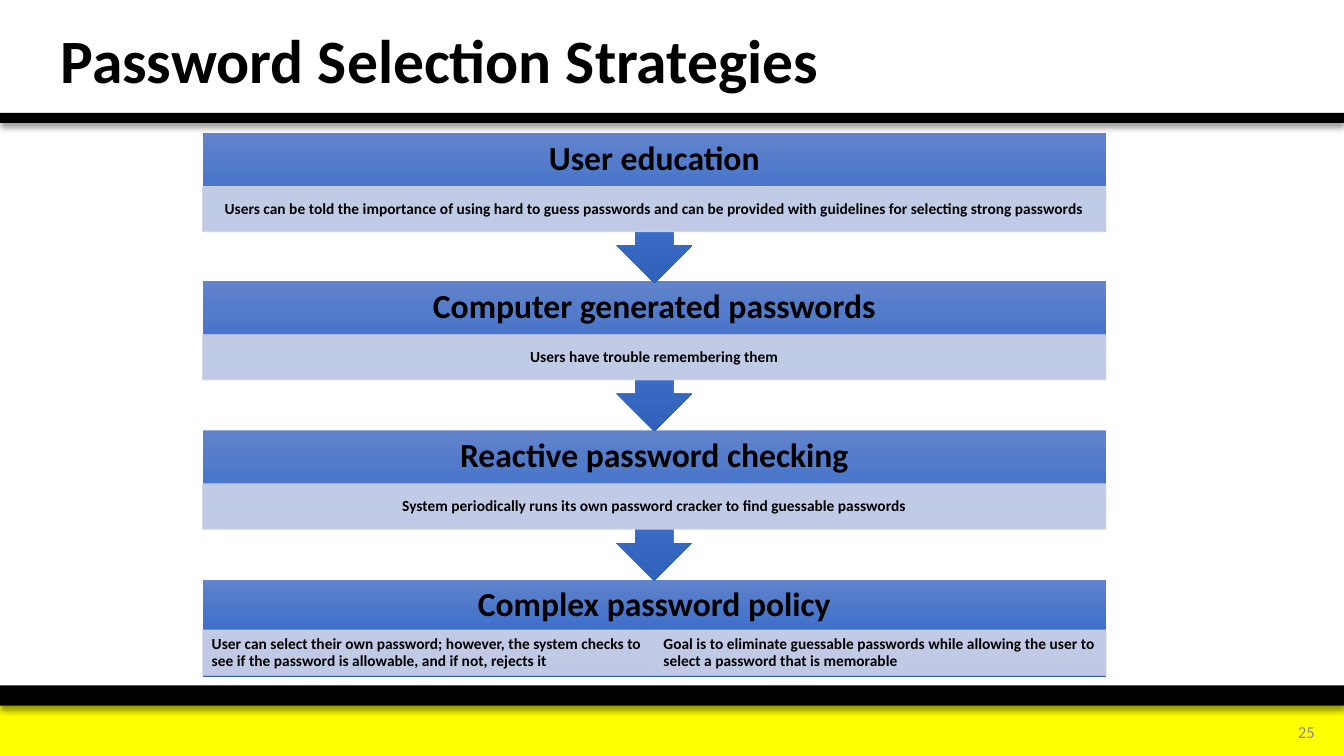
import pptx
import pptx.util
import pptx.dml.color
import pptx.enum.shapes
import pptx.enum.text
import pptx.oxml
import pptx.oxml.ns
import lxml.etree

PX = 9144  # 100 px to the inch
FONT = "Calibri"
HUES = {"black": "000000", "yellow": "FFFF00", "grey": "8C8C8C",
        "top": "6183CB", "mid": "3E70CA", "low": "3062BB", "pale": "CFD5EA"}
KIND = pptx.enum.shapes.MSO_SHAPE
ALIGN = pptx.enum.text.PP_ALIGN
LEFT, WIDE, TOP = 201, 896, 132

STEPS = [
    ("User education",
     ["Users can be told the importance of using hard to guess passwords and can be "
      "provided with guidelines for selecting strong passwords"]),
    ("Computer generated passwords", ["Users have trouble remembering them"]),
    ("Reactive password checking",
     ["System periodically runs its own password cracker to find guessable passwords"]),
    ("Complex password policy",
     ["User can select their own password; however, the system checks to see if the "
      "password is allowable, and if not, rejects it",
      "Goal is to eliminate guessable passwords while allowing the user to select a "
      "password that is memorable"]),
]


def emu(*nums):
    return [pptx.util.Emu(n * PX) for n in nums]


def hue(name):
    return pptx.dml.color.RGBColor.from_string(HUES[name])


def add_xml(parent, tag, **attrs):
    return lxml.etree.SubElement(parent, pptx.oxml.ns.qn("a:" + tag), attrs)


def fade(color):
    """Make a solid fill or line colour 90% opaque."""
    for node in color.iter(pptx.oxml.ns.qn("a:srgbClr")):
        add_xml(node, "alpha", val="90000")


def write(shape, text, size, color="black", bold=True, align=ALIGN.LEFT,
          inset=(9, 2), space=0.9):
    frame = shape.text_frame
    frame.word_wrap = True
    frame.auto_size = pptx.enum.text.MSO_AUTO_SIZE.NONE
    frame.vertical_anchor = pptx.enum.text.MSO_ANCHOR.MIDDLE
    frame.margin_left, frame.margin_top = emu(*inset)
    frame.margin_right, frame.margin_bottom = emu(*inset)
    para = frame.paragraphs[0]
    para.alignment = align
    para.line_spacing = space
    run = para.add_run()
    run.text = text
    run.font.name = FONT
    run.font.size = pptx.util.Pt(size)
    run.font.bold = bold
    run.font.color.rgb = hue(color)


def add_box(slide, kind, *place):
    shape = slide.shapes.add_shape(kind, *emu(*place))
    shape.shadow.inherit = False
    shape.line.fill.background()
    return shape


def add_bar(slide, top, high, color, shade=True):
    bar = add_box(slide, KIND.RECTANGLE, 0, top, 1333, high)
    bar.fill.solid()
    bar.fill.fore_color.rgb = hue(color)
    if shade:
        effects = bar.element.spPr.find(pptx.oxml.ns.qn("a:effectLst"))
        outer = add_xml(effects, "outerShdw", blurRad="50800", dist="38100",
                        dir="5400000", algn="t", rotWithShape="0")
        black = add_xml(outer, "srgbClr", val=HUES["black"])
        add_xml(black, "alpha", val="40000")


def add_block(slide, kind, *place):
    """Add a shape with the blue gradient running downwards."""
    block = add_box(slide, kind, *place)
    block.fill.gradient()
    block.fill.gradient_angle = 270
    stops = block.element.spPr.find(".//" + pptx.oxml.ns.qn("a:gsLst"))
    for stop in list(stops):
        stops.remove(stop)
    for pos, name in ((0, "top"), (50, "mid"), (100, "low")):
        stop = add_xml(stops, "gs", pos=str(pos * 1000))
        add_xml(stop, "srgbClr", val=HUES[name])


def add_label(slide, text, size, *place, **style):
    write(slide.shapes.add_textbox(*emu(*place)), text, size, **style)


def add_note(slide, text, align, *place):
    note = add_box(slide, KIND.RECTANGLE, *place)
    note.fill.solid()
    note.fill.fore_color.rgb = hue("pale")
    note.line.color.rgb = hue("pale")
    note.line.width = pptx.util.Pt(0.5)
    fade(note.element.spPr)
    write(note, text, 11, align=align)


def add_step(slide, index, head, notes):
    top = TOP + index * 443 // 3
    last = index == len(STEPS) - 1
    kind = KIND.RECTANGLE if last else KIND.DOWN_ARROW_CALLOUT
    add_block(slide, kind, LEFT, top, WIDE, 97 if last else 149)
    add_label(slide, head, 24, LEFT, top, WIDE, 52, align=ALIGN.CENTER, inset=(19, 0))
    wide = WIDE // len(notes)
    align = ALIGN.LEFT if last else ALIGN.CENTER
    for col, text in enumerate(notes):
        add_note(slide, text, align, LEFT + col * wide, top + (50 if last else 53), wide, 45)


def main():
    deck = pptx.Presentation()
    deck.slide_width, deck.slide_height = emu(1333, 750)
    slide = deck.slides.add_slide(deck.slide_layouts[5])

    # Bands
    add_bar(slide, 700, 50, "yellow", shade=False)
    add_bar(slide, 680, 20, "black")
    add_bar(slide, 112, 10, "black")

    # Title and page number
    title = slide.shapes.title
    title.left, title.top, title.width, title.height = emu(50, 7, 1014, 112)
    write(title, "Password Selection Strategies", 44, inset=(10, 5))
    add_label(slide, "25", 12, 1238, 706, 76, 40, color="grey", bold=False,
              align=ALIGN.RIGHT, inset=(10, 5), space=1.0)

    # Steps, the last one at the back
    for index, (head, notes) in reversed(list(enumerate(STEPS))):
        add_step(slide, index, head, notes)

    deck.save("out.pptx")


if __name__ == "__main__":
    main()
